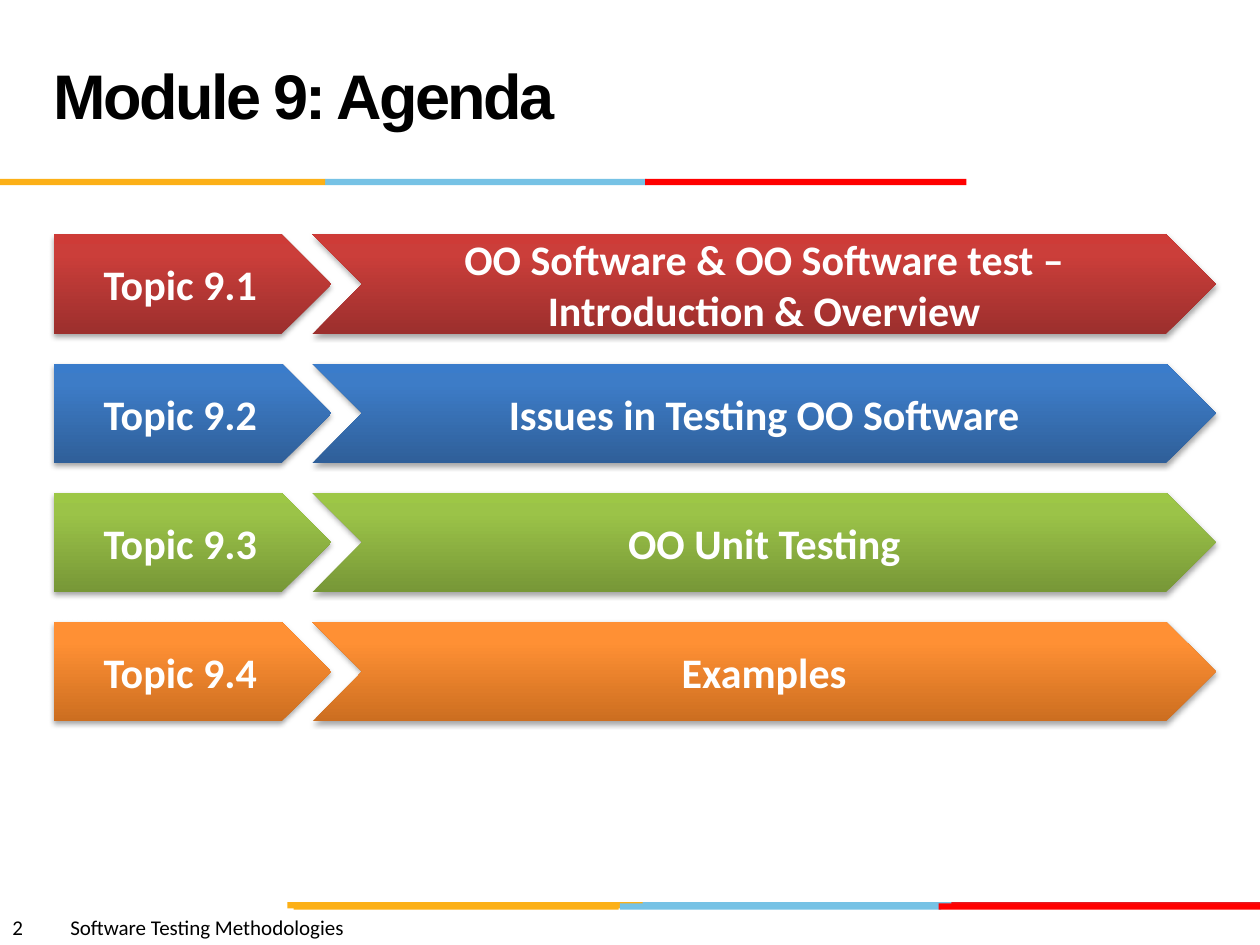
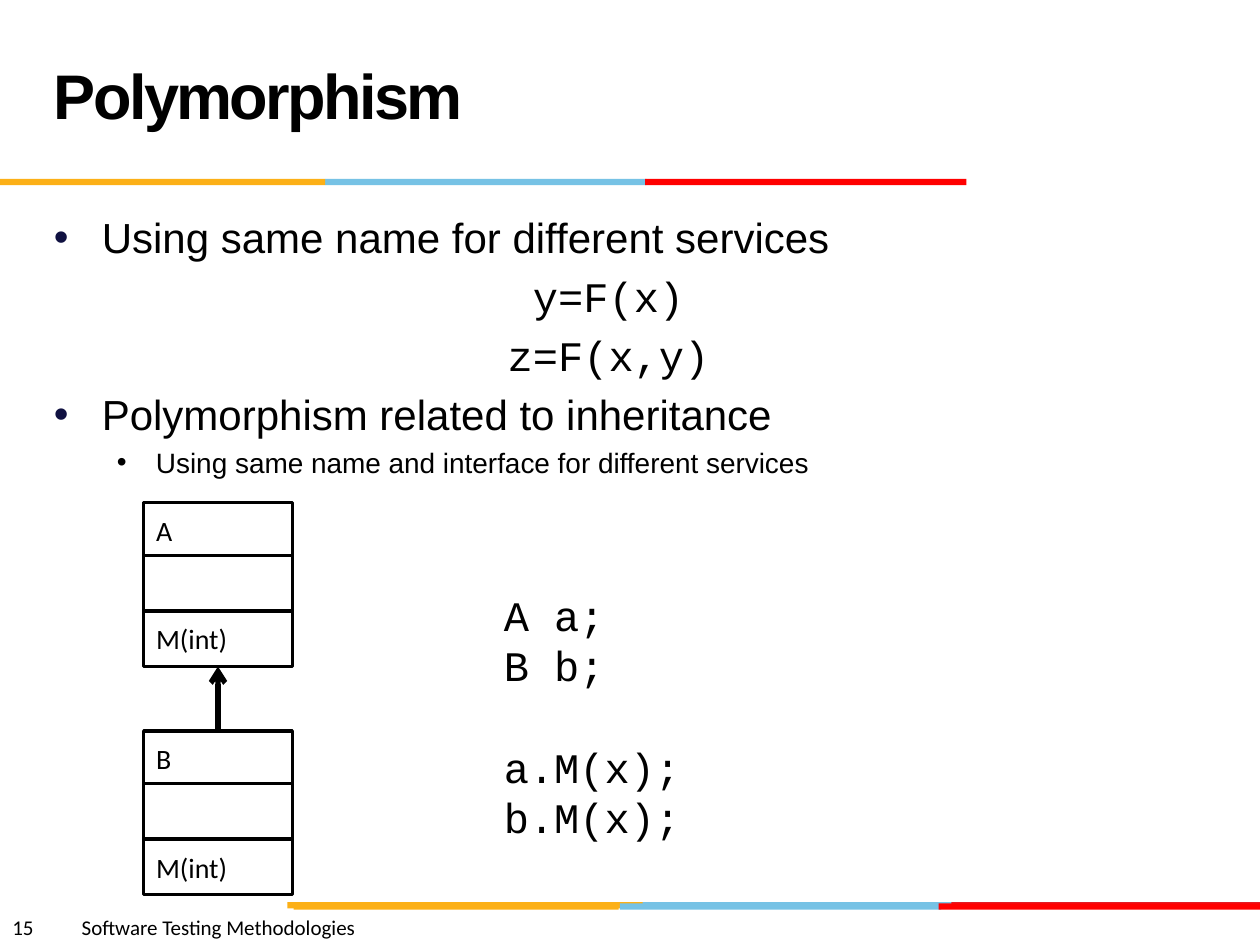
from dataclasses import dataclass
from typing import NamedTuple, Optional

from lxml import etree
from pptx import Presentation
from pptx.dml.color import RGBColor
from pptx.enum.shapes import MSO_CONNECTOR, MSO_SHAPE
from pptx.enum.text import MSO_ANCHOR, PP_ALIGN
from pptx.oxml import parse_xml
from pptx.oxml.ns import nsdecls, qn
from pptx.util import Inches, Pt

RECTANGLE, PENTAGON, CHEVRON = MSO_SHAPE.RECTANGLE, MSO_SHAPE.PENTAGON, MSO_SHAPE.CHEVRON
STRAIGHT = MSO_CONNECTOR.STRAIGHT
LEFT, CENTER = PP_ALIGN.LEFT, PP_ALIGN.CENTER
TOP, MIDDLE = MSO_ANCHOR.TOP, MSO_ANCHOR.MIDDLE

BLACK = RGBColor(0x00, 0x00, 0x00)
WHITE = RGBColor(0xFF, 0xFF, 0xFF)
AMBER = RGBColor(0xFC, 0xB0, 0x17)
SKY = RGBColor(0x76, 0xC2, 0xE5)
RED = RGBColor(0xFF, 0x00, 0x00)
CRIMSON = RGBColor(0xE3, 0x1C, 0x24)
BULLET_NAVY = RGBColor(0x10, 0x11, 0x41)

SANS, BODY, CODE = "Calibri", "Arial", "Courier New"
TITLE_FONT = {"name": BODY, "size": Pt(36), "bold": True}
FOOTER_FONT = {"name": SANS, "size": Pt(12)}
TOPIC_FONT = {"name": SANS, "size": Pt(24), "bold": True}
CLASS_FONT = {"name": SANS, "size": Pt(16)}
POINT_FONT = {"name": BODY, "size": Pt(24)}
SUBPOINT_FONT = {"name": BODY, "size": Pt(16)}
CODE_FONT = {"name": CODE, "size": Pt(24)}

COURSE = "Software Testing Methodologies"
BAND_HEIGHT = 0.05
FOOTER_GAP, DIGIT_WIDTH = 0.37, 0.09

TOPIC_TOP, TOPIC_STEP, TOPIC_HEIGHT = 1.86, 1.025, 0.79
CLASS_LEFT, CLASS_WIDTH, ROW_HEIGHT = 1.14, 1.18, 0.44
ROW_OFFSETS = (0, 0.42, 0.86)


class Box(NamedTuple):
    """A rectangle in inches."""

    left: float
    top: float
    width: float
    height: float

    def emu(self) -> tuple:
        """Return the four measures as lengths."""
        return tuple(Inches(measure) for measure in self)


class Band(NamedTuple):
    """One coloured piece of a rule across the slide."""

    left: float
    top: float
    width: float
    color: RGBColor


@dataclass
class Topic:
    """One agenda row with gradient colours from bottom to top."""

    number: str
    subject: str
    gradient: tuple


@dataclass
class Line:
    """One paragraph with its format."""

    text: str
    font: dict
    align: int = LEFT
    before: float = 0
    margin: float = 0
    hanging: float = 0
    bullet: bool = False
    bullet_color: Optional[RGBColor] = None


@dataclass
class ClassBox:
    """A class diagram: name, attributes and methods."""

    top: float
    rows: tuple


BANDS = (
    Band(5.06, 7.16, 2.55, SKY),
    Band(7.55, 7.16, 2.45, CRIMSON),
    Band(2.28, 7.16, 2.82, AMBER),
    Band(4.92, 7.17, 2.55, SKY),
    Band(2.33, 7.17, 2.58, AMBER),
    Band(7.45, 7.17, 2.55, RED),
    Band(2.58, 1.42, 2.55, SKY),
    Band(0, 1.42, 2.58, AMBER),
    Band(5.12, 1.42, 2.55, RED),
)

TOPICS = (
    Topic("Topic 9.1", "OO Software & OO Software test – Introduction & Overview",
          ("9C2F2D", "CB3E3A", "CE3B37")),
    Topic("Topic 9.2", "Issues in Testing OO Software", ("2F5F99", "3D7CC7", "3A7CCB")),
    Topic("Topic 9.3", "OO Unit Testing", ("779737", "9BC348", "9DC746")),
    Topic("Topic 9.4", "Examples", ("CC6E20", "FF9034", "FF9136")),
)

POINT = {"font": POINT_FONT, "before": 5, "margin": 0.38, "hanging": 0.38,
         "bullet": True, "bullet_color": BULLET_NAVY}
FORMULA = {"font": CODE_FONT, "align": CENTER, "before": 5}
POLYMORPHISM = (
    Line("Using same name for different services", **POINT),
    Line("y=F(x)", **FORMULA),
    Line("z=F(x,y)", **FORMULA),
    Line("Polymorphism related to inheritance", **POINT),
    Line("Using same name and interface for different services", SUBPOINT_FONT,
         before=3.5, margin=0.81, hanging=0.31, bullet=True),
)
CALLS = (
    Line("A a;", CODE_FONT),
    Line("B b;", CODE_FONT),
    Line("a.M(x);", CODE_FONT, before=29),
    Line("b.M(x);", CODE_FONT),
)
PARENT = ClassBox(3.99, ("A", "", "M(int)"))
CHILD = ClassBox(5.8, ("B", "", "M(int)"))


def style_font(font, values: dict, color: RGBColor = BLACK) -> None:
    """Apply a dict of format values and a colour to a font."""
    for attribute, value in values.items():
        setattr(font, attribute, value)
    font.color.rgb = color


def add_bullet(paragraph, color: Optional[RGBColor]) -> None:
    """Give a paragraph a round bullet."""
    properties = paragraph._p.get_or_add_pPr()
    if color is not None:
        tint = etree.SubElement(properties, qn("a:buClr"))
        etree.SubElement(tint, qn("a:srgbClr"), val=str(color))
    etree.SubElement(properties, qn("a:buFont"), typeface=BODY)
    etree.SubElement(properties, qn("a:buChar"), char="•")


def write_lines(frame, lines: tuple, color: RGBColor = BLACK) -> None:
    """Fill a text frame with formatted paragraphs."""
    for index, line in enumerate(lines):
        paragraph = frame.add_paragraph() if index else frame.paragraphs[0]
        paragraph.alignment = line.align
        paragraph.space_before = Pt(line.before)
        run = paragraph.add_run()
        run.text = line.text
        style_font(run.font, line.font, color)
        if line.bullet:
            properties = paragraph._p.get_or_add_pPr()
            properties.set("marL", str(Inches(line.margin)))
            properties.set("indent", str(-Inches(line.hanging)))
            add_bullet(paragraph, line.bullet_color)


def add_text(slide, box: Box, lines: tuple, anchor: int = TOP, wrap: bool = True):
    """Add a text box and return its text frame."""
    frame = slide.shapes.add_textbox(*box.emu()).text_frame
    frame.word_wrap = wrap
    frame.vertical_anchor = anchor
    write_lines(frame, lines)
    return frame


def add_block(slide, kind: int, box: Box, fill: Optional[RGBColor] = None):
    """Add a preset shape without line or shadow."""
    block = slide.shapes.add_shape(kind, *box.emu())
    block.shadow.inherit = False
    block.line.fill.background()
    if fill is not None:
        block.fill.solid()
        block.fill.fore_color.rgb = fill
    return block


def add_title(slide, title: str) -> None:
    """Add the slide title with tight letter spacing."""
    frame = add_text(slide, Box(0.33, 0.17, 6.92, 1.25), (Line(title, TITLE_FONT),), MIDDLE)
    paragraph = frame.paragraphs[0]
    paragraph.line_spacing = Pt(36)
    paragraph.runs[0].font._element.set("spc", "-150")


def add_footer(slide, number: int) -> None:
    """Add the slide number and course name, parted by a tab stop."""
    frame = add_text(slide, Box(0, 7.21, 5, 0.3), (Line(f"{number}\t{COURSE}", FOOTER_FONT),))
    stop = FOOTER_GAP + DIGIT_WIDTH * len(str(number))
    tabs = etree.SubElement(frame.paragraphs[0]._p.get_or_add_pPr(), qn("a:tabLst"))
    etree.SubElement(tabs, qn("a:tab"), pos=str(Inches(stop)), algn="l")


def add_base(deck, title: str, number: int):
    """Add a slide with the shared bands, footer and title."""
    slide = deck.slides.add_slide(deck.slide_layouts[6])
    for band in BANDS:
        add_block(slide, RECTANGLE, Box(band.left, band.top, band.width, BAND_HEIGHT), band.color)
    add_footer(slide, number)
    add_title(slide, title)
    return slide


def add_topic_arrow(slide, kind: int, box: Box, text: str, gradient: tuple) -> None:
    """Add an agenda arrow with a gradient and a soft shadow."""
    arrow = add_block(slide, kind, box)
    stops = "".join(f'<a:gs pos="{place * 1000}"><a:srgbClr val="{color}"/></a:gs>'
                    for place, color in zip((0, 80, 100), gradient))
    properties = arrow._element.spPr
    properties.find(qn("a:ln")).addprevious(parse_xml(
        f'<a:gradFill {nsdecls("a")} rotWithShape="1"><a:gsLst>{stops}</a:gsLst>'
        '<a:lin ang="16200000" scaled="0"/></a:gradFill>'))
    properties.find(qn("a:effectLst")).append(parse_xml(
        f'<a:outerShdw {nsdecls("a")} blurRad="{Pt(3.1)}" dist="{Pt(1.8)}" dir="5400000" '
        'rotWithShape="0"><a:srgbClr val="000000"><a:alpha val="35000"/></a:srgbClr>'
        '</a:outerShdw>'))
    arrow.text_frame.vertical_anchor = MIDDLE
    write_lines(arrow.text_frame, (Line(text, TOPIC_FONT, CENTER),), WHITE)


def add_class(slide, diagram: ClassBox) -> None:
    """Draw the three stacked compartments of a class."""
    for offset, text in zip(ROW_OFFSETS, diagram.rows):
        box = Box(CLASS_LEFT, diagram.top + offset, CLASS_WIDTH, ROW_HEIGHT)
        row = add_block(slide, RECTANGLE, box, WHITE)
        row.line.color.rgb = BLACK
        row.line.width = Pt(2)
        row.text_frame.vertical_anchor = MIDDLE
        if text:
            write_lines(row.text_frame, (Line(text, CLASS_FONT),))


def add_inheritance(slide, child: ClassBox, parent: ClassBox) -> None:
    """Draw the arrow from a child class up to its parent."""
    middle = Inches(CLASS_LEFT + CLASS_WIDTH / 2)
    parent_bottom = Inches(parent.top + ROW_OFFSETS[-1] + ROW_HEIGHT)
    arrow = slide.shapes.add_connector(STRAIGHT, middle, Inches(child.top), middle, parent_bottom)
    arrow.line.color.rgb = BLACK
    arrow.line.width = Pt(3)
    etree.SubElement(arrow.line._get_or_add_ln(), qn("a:tailEnd"), type="arrow")
    etree.SubElement(arrow._element.spPr, qn("a:effectLst"))


def build_agenda(deck) -> None:
    """Build the agenda slide."""
    slide = add_base(deck, "Module 9: Agenda", 2)
    for index, topic in enumerate(TOPICS):
        top = TOPIC_TOP + index * TOPIC_STEP
        add_topic_arrow(slide, PENTAGON, Box(0.43, top, 2.2, TOPIC_HEIGHT),
                        topic.number, topic.gradient)
        add_topic_arrow(slide, CHEVRON, Box(2.48, top, 7.17, TOPIC_HEIGHT),
                        topic.subject, topic.gradient)


def build_polymorphism(deck) -> None:
    """Build the slide on polymorphism."""
    slide = add_base(deck, "Polymorphism", 15)
    add_text(slide, Box(0.33, 1.63, 9, 4.95), POLYMORPHISM)
    for diagram in (PARENT, CHILD):
        add_class(slide, diagram)
    add_inheritance(slide, CHILD, PARENT)
    add_text(slide, Box(3.9, 4.63, 1.61, 2.12), CALLS, wrap=False)


deck = Presentation()
deck.slide_width, deck.slide_height = Inches(10), Inches(7.5)
build_agenda(deck)
build_polymorphism(deck)
deck.save("out.pptx")
